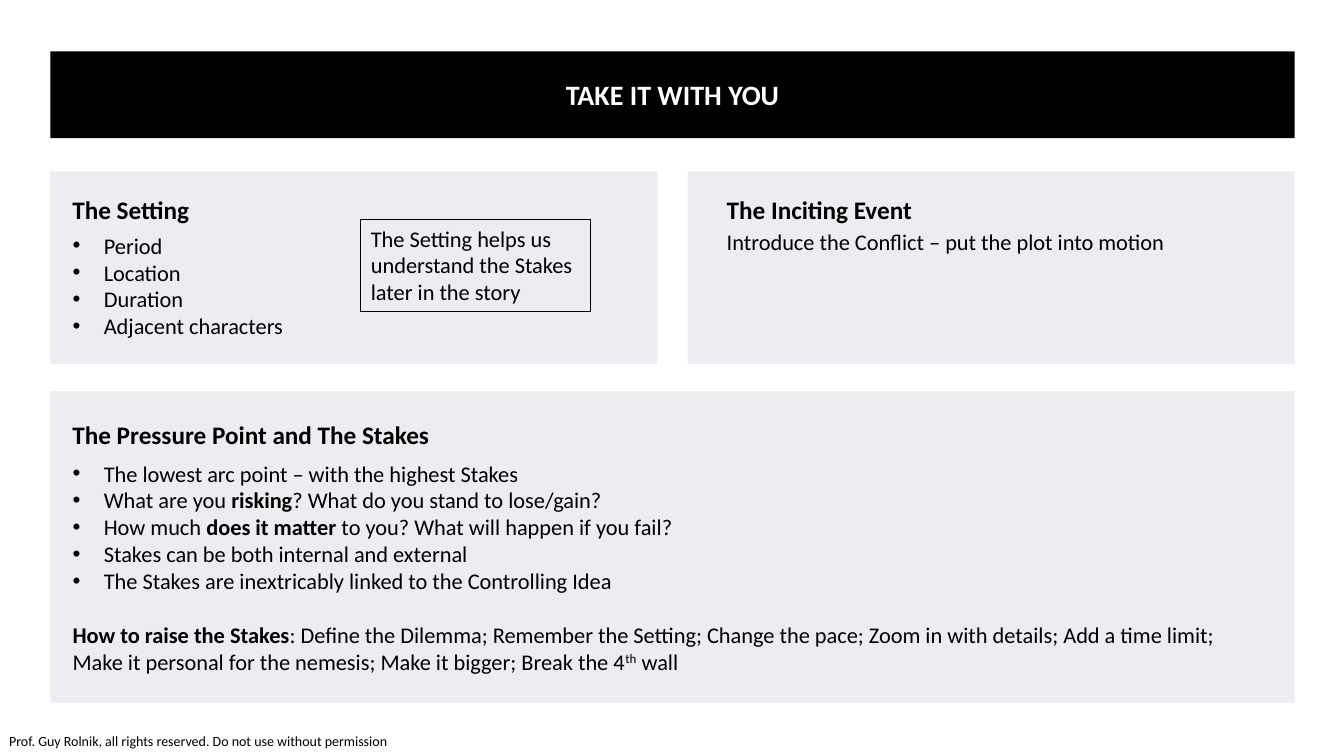
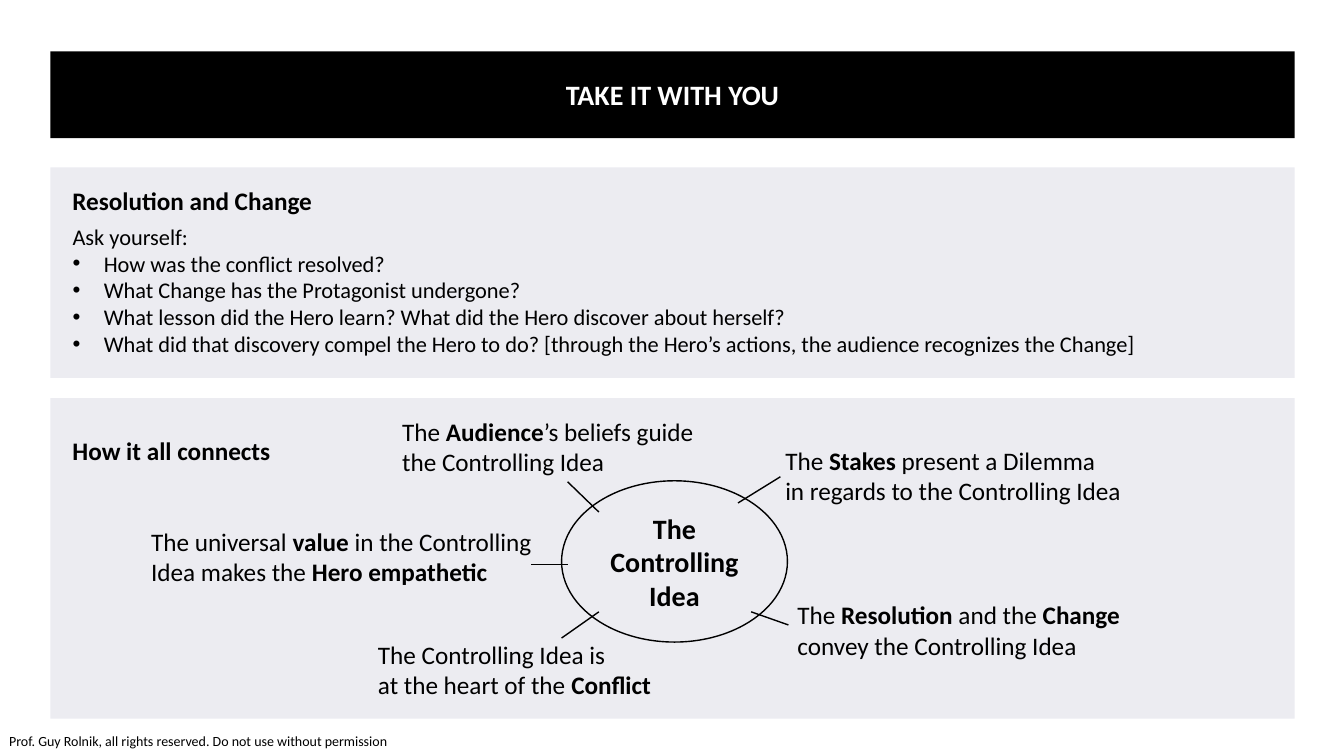
from lxml.etree import SubElement
from pptx import Presentation
from pptx.dml.color import RGBColor
from pptx.enum.shapes import MSO_CONNECTOR, MSO_SHAPE
from pptx.enum.text import MSO_ANCHOR as ANCHOR, MSO_AUTO_SIZE, PP_ALIGN as ALIGN
from pptx.oxml.ns import qn
from pptx.util import Inches, Pt

BLACK = RGBColor(0x00, 0x00, 0x00)
WHITE = RGBColor(0xFF, 0xFF, 0xFF)
NAVY = RGBColor(0x0E, 0x11, 0x54)
FONT = "Calibri"
LEFT, WIDTH = 0.5, 12.34
HALF = 6.02
TEXT_LEFT = 0.62
INDENT = Inches(0.31)
TITLE = "TAKE IT WITH YOU"
FOOTER = "Prof. Guy Rolnik, all rights reserved. Do not use without permission"


def add_spans(para, text, size, bold=False, color=BLACK):
    """Add runs to a paragraph; *stars* switch bold and ^carets^ raise."""
    for i, part in enumerate(text.split("*")):
        for j, piece in enumerate(part.split("^")):
            for k, line in enumerate(piece.split("\n")):
                if k:
                    para.add_line_break()
                if not line:
                    continue
                span = para.add_run()
                span.text = line
                span.font.name = FONT
                span.font.size = Pt(size)
                span.font.bold = bold or i % 2 == 1
                span.font.color.rgb = color
                if j % 2:
                    span.font._element.set("baseline", "30000")


def write(box, place, lines, size, bold=False, color=BLACK,
          align=ALIGN.LEFT, anchor=ANCHOR.TOP, inset=0.1):
    """Place a box and fill it; lines that start with • become bullets."""
    box.left, box.top, box.width, box.height = map(Inches, place)
    frame = box.text_frame
    frame.word_wrap = True
    frame.auto_size = MSO_AUTO_SIZE.NONE
    frame.vertical_anchor = anchor
    frame.margin_left = frame.margin_right = Inches(inset)
    frame.margin_top = frame.margin_bottom = Inches(0.05)
    for number, line in enumerate(lines):
        para = frame.add_paragraph() if number else frame.paragraphs[0]
        para.alignment = align
        para.space_before = para.space_after = Pt(0)
        props = para._p.get_or_add_pPr()
        bulleted = line.startswith("•")
        props.set("marL", str(INDENT if bulleted else 0))
        props.set("indent", str(-INDENT if bulleted else 0))
        if bulleted:
            SubElement(props, qn("a:buFont")).set("typeface", "Arial")
            SubElement(props, qn("a:buChar")).set("char", "•")
        else:
            SubElement(props, qn("a:buNone"))
        add_spans(para, line.lstrip("•"), size, bold, color)


deck = Presentation()
deck.slide_width, deck.slide_height = Inches(13.33), Inches(7.5)

# Contents: layout, panels, headings (left, top, text), lists (place, lines)
slides = [
    dict(
        layout="Two Content",
        panels=[(LEFT, 1.7, HALF, 1.91),
                (LEFT + WIDTH - HALF, 1.7, HALF, 1.91),
                (LEFT, 3.88, WIDTH, 3.09)],
        headings=[(TEXT_LEFT, 1.88, "The Setting"),
                  (7.11, 1.88, "The Inciting Event"),
                  (TEXT_LEFT, 4.11, "The Pressure Point and The Stakes")],
        lists=[
            ((TEXT_LEFT, 2.25, 2.9, 1.18),
             ["•Period", "•Location", "•Duration", "•Adjacent characters"]),
            ((TEXT_LEFT, 4.51, 11.99, 2.26),
             ["•The lowest arc point – with the highest Stakes",
              "•What are you *risking*? What do you stand to lose/gain?",
              "•How much *does it matter *to you? What will happen if you fail?",
              "•Stakes can be both internal and external",
              "•The Stakes are inextricably linked to the Controlling Idea",
              "*How to raise the Stakes*: Define the Dilemma; Remember the Setting; "
              "Change the pace; Zoom in with details; Add a time limit; Make it "
              "personal for the nemesis; Make it bigger; Break the 4^th^ wall"]),
        ],
    ),
    dict(
        layout="Title and Content",
        panels=[(LEFT, 1.66, WIDTH, 2.09), (LEFT, 3.95, WIDTH, 3.18)],
        headings=[(TEXT_LEFT, 1.79, "Resolution and Change"),
                  (TEXT_LEFT, 4.27, "How it all connects")],
        lists=[
            ((TEXT_LEFT, 2.16, 11.99, 1.45),
             ["Ask yourself:",
              "•How was the conflict resolved?",
              "•What Change has the Protagonist undergone?",
              "•What lesson did the Hero learn? What did the Hero discover about herself?",
              "•What did that discovery compel the Hero to do? [through the Hero’s "
              "actions, the audience recognizes the Change]"]),
        ],
    ),
]

pages = []
for content in slides:
    page = deck.slides.add_slide(deck.slide_layouts.get_by_name(content["layout"]))
    pages.append(page)

    # Title band
    title = page.shapes.title
    title.fill.solid()
    title.fill.fore_color.rgb = BLACK
    write(title, (LEFT, 0.51, WIDTH, 0.86), [TITLE], 20, True, WHITE,
          ALIGN.CENTER, ANCHOR.MIDDLE)

    # Tinted panels, behind the placeholders
    for place in content["panels"]:
        panel = page.shapes.add_shape(MSO_SHAPE.RECTANGLE, *map(Inches, place))
        panel.shadow.inherit = False
        panel.line.fill.background()
        panel.fill.solid()
        panel.fill.fore_color.rgb = NAVY
        tint = panel._element.spPr.find(".//" + qn("a:srgbClr"))
        SubElement(tint, qn("a:alpha")).set("val", "8000")
        page.shapes._spTree.insert(2, panel._element)

    # Headings and lists
    for left, top, heading in content["headings"]:
        write(page.shapes.add_textbox(0, 0, 0, 0), (left, top, 4.33, 0.4),
              [heading], 18, True)
    bodies = list(page.placeholders)[1:]
    for body, (place, lines) in zip(bodies, content["lists"]):
        write(body, place, lines, 16)

    # Footer
    write(page.shapes.add_textbox(0, 0, 0, 0), (0.04, 7.22, 4.49, 0.27),
          [FOOTER], 10, anchor=ANCHOR.MIDDLE, inset=0.05)

setting_page, idea_page = pages

# Slide 1: gap above the closing advice, conflict line and framed note
advice = list(setting_page.placeholders)[2].text_frame.paragraphs[-1]
advice.space_before = Pt(19.5)
write(setting_page.shapes.add_textbox(0, 0, 0, 0), (7.11, 2.21, 5.5, 0.37),
      ["Introduce the Conflict – put the plot into motion"], 16)
note = setting_page.shapes.add_textbox(0, 0, 0, 0)
note.line.color.rgb = BLACK
note.line.width = Pt(0.75)
write(note, (3.58, 2.18, 2.28, 0.91),
      ["The Setting helps us understand the Stakes later in the story"], 16)

# Slide 2: central idea
idea = idea_page.shapes.add_shape(MSO_SHAPE.OVAL, 0, 0, 0, 0)
idea.shadow.inherit = False
idea.fill.background()
idea.line.color.rgb = BLACK
idea.line.width = Pt(1)
write(idea, (5.57, 4.77, 2.24, 1.6), ["The Controlling Idea"], 20, True,
      align=ALIGN.CENTER, anchor=ANCHOR.MIDDLE)

# Slide 2: labels around the idea, each with its spoke (left, top, width, text, spoke)
labels = [
    (3.89, 4.08, 3.25, "The *Audience*’s beliefs guide the Controlling Idea",
     (5.63, 4.78, 5.94, 5.08)),
    (1.4, 5.17, 4.05,
     "The universal *value* in the Controlling Idea makes the *Hero empathetic*",
     (5.27, 5.6, 5.63, 5.6)),
    (3.65, 6.29, 3.25, "The Controlling Idea is\nat the heart of the *Conflict*",
     (5.57, 6.33, 5.94, 6.07)),
    (7.81, 5.9, 3.51, "The *Resolution* and the *Change* convey the Controlling Idea",
     (7.45, 6.07, 7.82, 6.2)),
    (7.69, 4.37, 3.67,
     "The *Stakes* present a Dilemma\nin regards to the Controlling Idea",
     (7.32, 4.99, 7.74, 4.73)),
]
for left, top, width, text, ends in labels:
    write(idea_page.shapes.add_textbox(0, 0, 0, 0), (left, top, width, 0.71),
          [text], 18)
    spoke = idea_page.shapes.add_connector(MSO_CONNECTOR.STRAIGHT, *map(Inches, ends))
    spoke.line.color.rgb = BLACK
    spoke.line.width = Pt(1)
    SubElement(spoke._element.spPr, qn("a:effectLst"))

deck.save("out.pptx")
